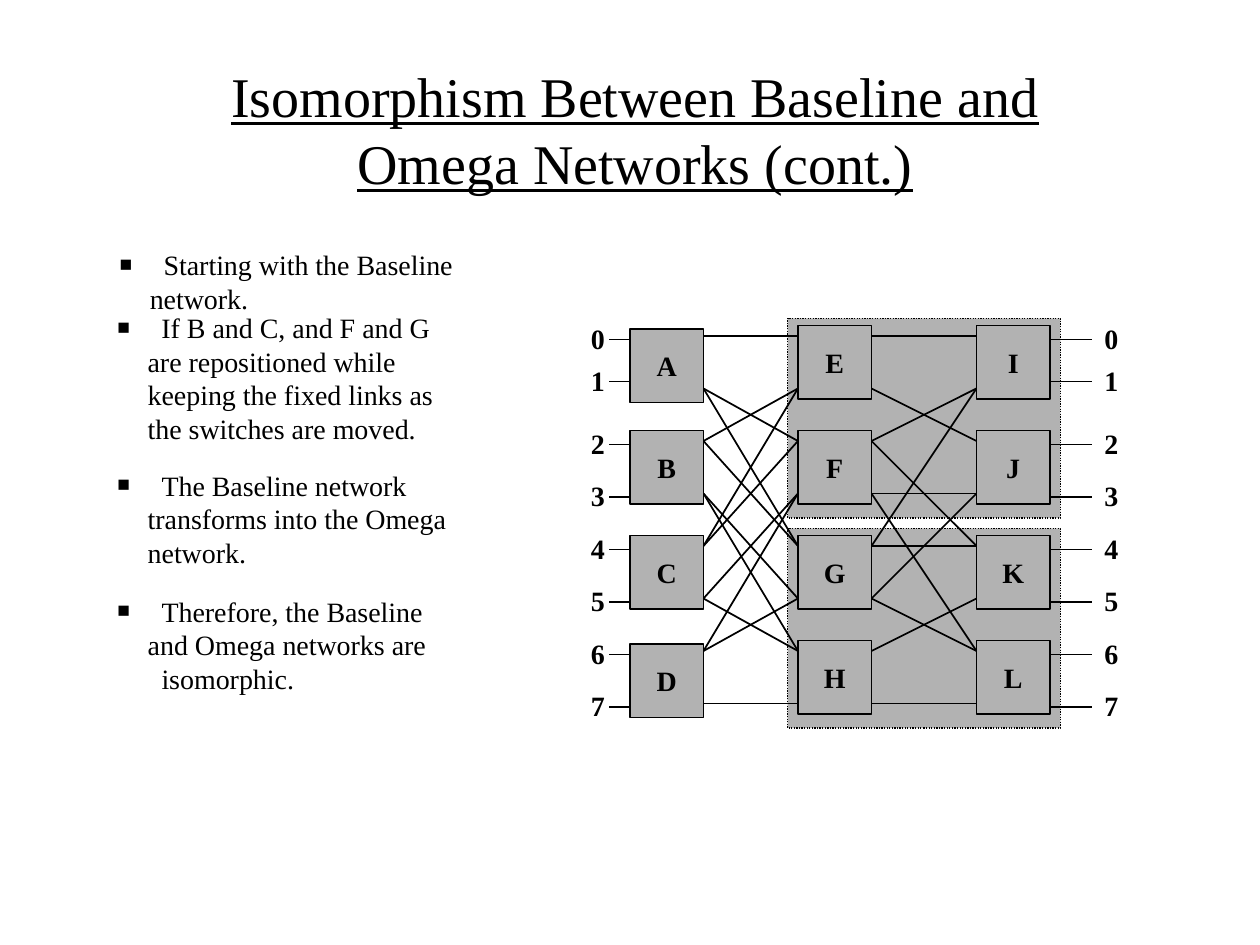
"""Build a slide on the isomorphism between baseline and omega networks."""
from typing import NamedTuple

from lxml.etree import SubElement
from pptx import Presentation
from pptx.dml.color import RGBColor
from pptx.enum.dml import MSO_LINE_DASH_STYLE as Dash
from pptx.enum.shapes import MSO_CONNECTOR as Connector, MSO_SHAPE as Preset
from pptx.enum.text import MSO_ANCHOR as Anchor, PP_ALIGN as Align
from pptx.oxml.ns import qn
from pptx.util import Inches, Pt

BLACK = RGBColor(0x00, 0x00, 0x00)
GREY = RGBColor(0xB2, 0xB2, 0xB2)
FONT = "Times New Roman"
COLUMNS, ROWS = 120, 90
WIDTH, HEIGHT = Inches(10), Inches(7.5)
HANG, TEXT_STEP = Inches(0.24), Inches(0.11)

PORTS = 8
SWITCH_SIZE = 7
SWITCH_COLUMNS = (60, 76, 93)
FIRST_PORT_ROW, PORT_STEP = 32, 5
LABEL_ROWS = (30, 34, 40, 45, 50, 55, 60, 65)
STUB_DROP = 2.33


class Area(NamedTuple):
    """A rectangle in grid columns and rows."""
    column: float
    row: float
    columns: float
    rows: float


class Point(NamedTuple):
    """A place on the grid."""
    column: float
    row: float


class Statement(NamedTuple):
    """A bulleted sentence and its area."""
    area: Area
    text: str


class Side(NamedTuple):
    """The terminals on one side of the network."""
    label_column: float
    stub_start: float
    stub_end: float


TITLE_AREA = Area(20, 5, 81, 14.5)
HALVES = (Area(75, 30.33, 26, 19), Area(75, 50.33, 26, 19))
SIDES = (Side(55.1, 60, 58), Side(104, 104, 100))
STATEMENTS = (
    Statement(Area(10.2, 23, 42.6, 4.4), "\tStarting with the Baseline network."),
    Statement(Area(10, 29, 36, 14), "\tIf B and C, and F and G are repositioned while "
              "keeping the fixed links as the switches are moved."),
    Statement(Area(10, 44, 39, 10.8),
              "\tThe Baseline network transforms into the Omega network."),
    Statement(Area(10, 56, 32, 10.8),
              "\tTherefore, the Baseline and Omega networks are\v\tisomorphic."),
)
SHUFFLE = {port: 2 * port % 7 for port in range(1, 7)}
UNSHUFFLE = {port: 4 * port % 7 for port in range(1, 7)}
STRAIGHT = {0: 0, 7: 7}
REPOSITIONED = {2: 1, 3: 3, 4: 4, 5: 6}
STAGE_LINKS = ((STRAIGHT, SHUFFLE, UNSHUFFLE), (STRAIGHT, SHUFFLE, REPOSITIONED))


def grid_x(column: float) -> int:
    """Turn a column into a length."""
    return round(WIDTH * column / COLUMNS)


def grid_y(row: float) -> int:
    """Turn a row into a length."""
    return round(HEIGHT * row / ROWS)


def box_of(area: Area) -> tuple:
    """Turn an area into left, top, width and height."""
    return (grid_x(area.column), grid_y(area.row),
            grid_x(area.columns), grid_y(area.rows))


def apply(target: object, values: dict) -> None:
    """Set each format value on the target."""
    for key, value in values.items():
        setattr(target, key, value)


def write(frame, text: str, size: int = 16, align=Align.LEFT, anchor=Anchor.TOP,
          wrap: bool = False, bulleted: bool = False, **style) -> None:
    """Fill a text frame with one formatted paragraph."""
    apply(frame, {"word_wrap": wrap, "vertical_anchor": anchor})
    paragraph = frame.paragraphs[0]
    paragraph.text = text
    paragraph.alignment = align
    if bulleted:
        add_bullet(paragraph)
    for run in paragraph.runs:
        apply(run.font, {"name": FONT, "size": Pt(size), **style})
        run.font.color.rgb = BLACK


def add_bullet(paragraph) -> None:
    """Give a paragraph a square bullet and a stepped first line."""
    properties = paragraph._p.get_or_add_pPr()
    properties.set("marL", str(HANG))
    properties.set("indent", str(-HANG))
    colour = SubElement(properties, qn("a:buClr"))
    SubElement(colour, qn("a:srgbClr"), val=str(BLACK))
    SubElement(properties, qn("a:buSzPct"), val="75000")
    SubElement(properties, qn("a:buFont"), typeface=FONT)
    SubElement(properties, qn("a:buChar"), char="■")
    stops = SubElement(properties, qn("a:tabLst"))
    for position in (TEXT_STEP, HANG + TEXT_STEP):
        SubElement(stops, qn("a:tab"), pos=str(position), algn="l")


def add_text(slide, area: Area, text: str, **style) -> None:
    """Place a text box."""
    write(slide.shapes.add_textbox(*box_of(area)).text_frame, text, **style)


def add_block(slide, area: Area, dash=None):
    """Place a grey outlined rectangle."""
    block = slide.shapes.add_shape(Preset.RECTANGLE, *box_of(area))
    block.shadow.inherit = False
    block.fill.solid()
    block.fill.fore_color.rgb = GREY
    block.line.color.rgb = BLACK
    apply(block.line, {"width": Pt(0.75), "dash_style": dash})
    return block


def add_wire(slide, start: Point, end: Point, width: float) -> None:
    """Draw a straight black line."""
    wire = slide.shapes.add_connector(
        Connector.STRAIGHT, grid_x(start.column), grid_y(start.row),
        grid_x(end.column), grid_y(end.row))
    wire.line.color.rgb = BLACK
    wire.line.width = Pt(width)
    SubElement(wire._element.spPr, qn("a:effectLst"))


def add_links(slide) -> None:
    """Wire each stage of switches to the next."""
    for stage, patterns in enumerate(STAGE_LINKS):
        for pattern in patterns:
            for source, target in pattern.items():
                start, end = (FIRST_PORT_ROW + PORT_STEP * port
                              for port in (source, target))
                add_wire(slide, Point(SWITCH_COLUMNS[stage] + SWITCH_SIZE, start),
                         Point(SWITCH_COLUMNS[stage + 1], end), 1)


def add_switches(slide) -> None:
    """Place the lettered switches stage by stage."""
    for index, letter in enumerate("ABCDEFGHIJKL"):
        stage, level = divmod(index, 4)
        drop = 0.33 if letter in "AD" else 0
        switch = add_block(slide, Area(SWITCH_COLUMNS[stage], 31 + 10 * level + drop,
                                       SWITCH_SIZE, SWITCH_SIZE))
        write(switch.text_frame, letter, align=Align.CENTER, anchor=Anchor.MIDDLE, bold=True)


def add_terminals(slide) -> None:
    """Number the inputs and outputs and draw their stubs."""
    for side in SIDES:
        for port in range(PORTS):
            row = LABEL_ROWS[port]
            add_wire(slide, Point(side.stub_start, row + STUB_DROP),
                     Point(side.stub_end, row + STUB_DROP), 0.75)
            add_text(slide, Area(side.label_column, row, 3.72, 4.4), str(port), bold=True)


def main() -> None:
    """Build and save the slide."""
    deck = Presentation()
    apply(deck, {"slide_width": WIDTH, "slide_height": HEIGHT})
    slide = deck.slides.add_slide(deck.slide_layouts[6])
    add_text(slide, TITLE_AREA, "Isomorphism Between Baseline and Omega Networks (cont.)",
             size=32, align=Align.CENTER, anchor=Anchor.MIDDLE, wrap=True, underline=True)
    for statement in STATEMENTS:
        add_text(slide, statement.area, statement.text, wrap=True, bulleted=True)
    for half in HALVES:
        add_block(slide, half, Dash.ROUND_DOT)
    add_links(slide)
    add_switches(slide)
    add_terminals(slide)
    deck.save("out.pptx")


if __name__ == "__main__":
    main()
